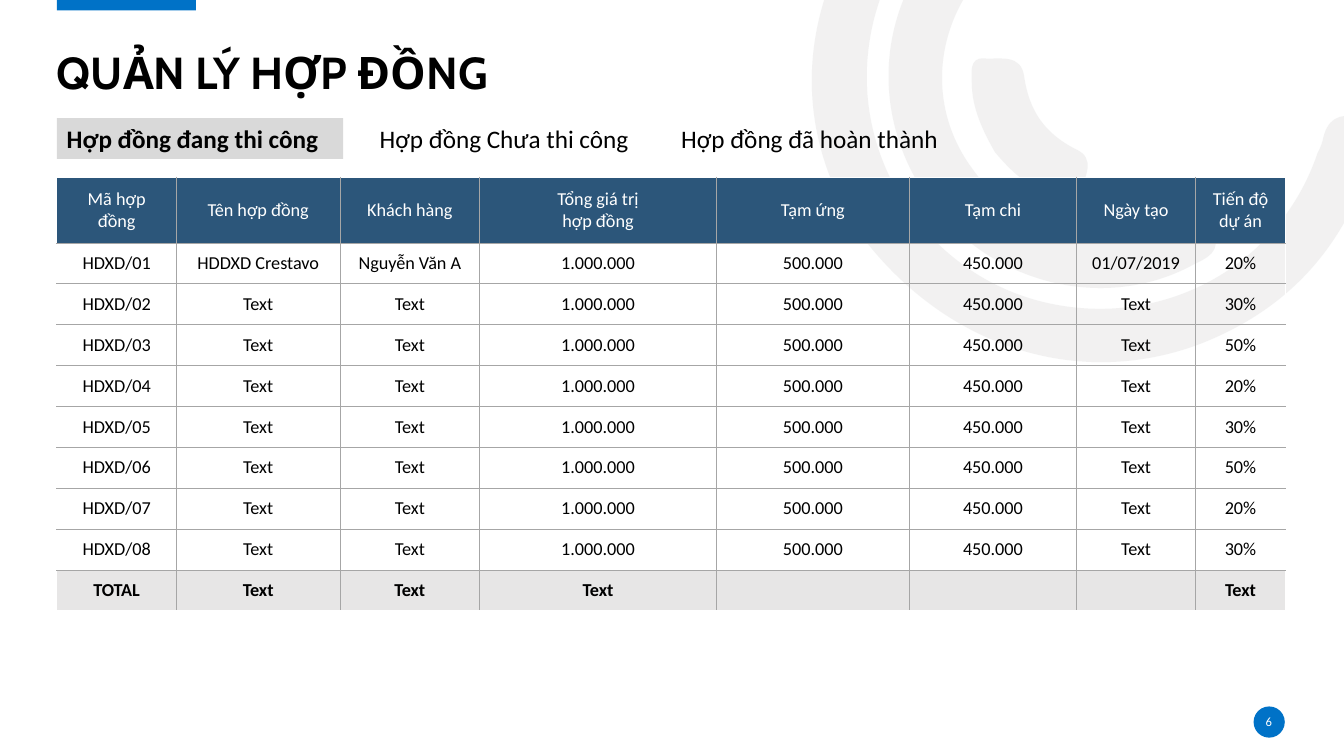
"""Build the contract management slide."""
from math import cos, radians, sin

from lxml.etree import SubElement
from pptx import Presentation
from pptx.dml.color import RGBColor
from pptx.enum.shapes import MSO_SHAPE
from pptx.enum.text import MSO_ANCHOR, MSO_AUTO_SIZE, PP_ALIGN
from pptx.oxml.ns import qn
from pptx.util import Pt

BLACK = RGBColor(0x00, 0x00, 0x00)
WHITE = RGBColor(0xFF, 0xFF, 0xFF)
BLUE = RGBColor(0x00, 0x72, 0xC7)
NAVY = RGBColor(0x2C, 0x56, 0x7A)
TAB_GRAY = RGBColor(0xD9, 0xD9, 0xD9)
PALE_GRAY = RGBColor(0xE7, 0xE6, 0xE6)
RULE_GRAY = RGBColor(0xA6, 0xA6, 0xA6)

TITLE = "QUẢN LÝ HỢP ĐỒNG"
PAGE_NUMBER = "6"
TABS = [
    ("Hợp đồng đang thi công", 40.6, True),
    ("Hợp đồng Chưa thi công", 264.2, False),
    ("Hợp đồng đã hoàn thành", 479.5, False),
]
HEADINGS = ["Mã hợp đồng", "Tên hợp đồng", "Khách hàng", "Tổng giá trị\nhợp đồng",
            "Tạm ứng", "Tạm chi", "Ngày tạo", "Tiến độ dự án"]
FIRST_DETAILS = ("HDDXD Crestavo", "Nguyễn Văn A", "01/07/2019")
BLANK_DETAILS = ("Text", "Text", "Text")
PROGRESS = ["20%", "30%", "50%", "20%", "30%", "50%", "20%", "30%"]
TOTALS = ["TOTAL", "Text", "Text", "Text", "", "", "", "Text"]
COLUMN_WIDTHS = [85.4, 116.9, 99.8, 169, 138, 119.3, 85.2, 64]
HEADER_HEIGHT, ROW_HEIGHT = 46.8, 29.2
LEFT, CONTENT_WIDTH = 40.6, 877.6

# Each arc holds its frame, a start point and cubic curves, in hundredths of an inch.
ARC_TURN = 144.2
ARCS = [
    ((813, -202, 485, 600), (851, 229), [
        (799, 149, 787, 50, 838, -50), (890, -152, 976, -203, 1090, -207),
        (1105, -207, 1121, -210, 1131, -195), (1144, -175, 1127, -154, 1098, -154),
        (967, -154, 865, -59, 860, 68), (856, 181, 936, 281, 1046, 302),
        (1160, 324, 1270, 261, 1307, 152), (1309, 148, 1311, 144, 1312, 140),
        (1316, 119, 1327, 111, 1349, 117), (1373, 124, 1367, 141, 1361, 156),
        (1334, 245, 1278, 307, 1191, 341), (1070, 387, 936, 345, 851, 229)]),
    ((901, -78, 213, 426), (922, 199), [
        (862, 115, 869, 7, 940, -68), (951, -79, 962, -95, 980, -78),
        (995, -64, 997, -50, 979, -32), (925, 26, 920, 108, 965, 168),
        (1008, 229, 1088, 249, 1161, 215), (1182, 205, 1193, 212, 1203, 229),
        (1213, 250, 1197, 256, 1183, 263), (1096, 310, 983, 282, 922, 199)]),
    ((980, 37, 78, 183), (987, 151), [
        (975, 130, 964, 107, 964, 82), (964, 73, 961, 57, 976, 58),
        (992, 59, 1013, 53, 1016, 76), (1021, 110, 1036, 132, 1067, 148),
        (1088, 157, 1076, 176, 1072, 189), (1068, 206, 1055, 198, 1045, 194),
        (1021, 187, 1003, 170, 987, 151)]),
]


def paint(shape, color):
    shape.shadow.inherit = False
    shape.fill.solid()
    shape.fill.fore_color.rgb = color
    shape.line.fill.background()


def add_arc(slide, frame, start, curves):
    left, top, width, height = frame
    cosine, sine = cos(radians(ARC_TURN)), sin(radians(ARC_TURN))

    def turn_back(x, y):
        dx, dy = x - left - width / 2, y - top - height / 2
        return (round(72 * (dx * cosine + dy * sine + width / 2)),
                round(72 * (dy * cosine - dx * sine + height / 2)))

    builder = slide.shapes.build_freeform(*turn_back(*start), scale=Pt(1) / 100)
    builder.add_line_segments([turn_back(*curve[4:]) for curve in curves], close=True)
    arc = builder.convert_to_shape()
    arc.left, arc.top, arc.width, arc.height = (Pt(0.72 * length) for length in frame)
    arc.rotation = ARC_TURN
    paint(arc, PALE_GRAY)
    tint = next(arc._element.iter(qn("a:srgbClr")))
    SubElement(tint, qn("a:alpha"), val="53000")

    outline = next(arc._element.iter(qn("a:path")))
    outline.set("w", str(72 * width))
    outline.set("h", str(72 * height))
    for child in list(outline):
        outline.remove(child)
    steps = [("a:moveTo", start)] + [("a:cubicBezTo", curve) for curve in curves]
    for tag, numbers in steps:
        step = SubElement(outline, qn(tag))
        for x, y in zip(numbers[::2], numbers[1::2]):
            px, py = turn_back(x, y)
            SubElement(step, qn("a:pt"), x=str(px), y=str(py))
    SubElement(outline, qn("a:close"))


def add_block(slide, kind, left, top, width, height, color):
    block = slide.shapes.add_shape(kind, Pt(left), Pt(top), Pt(width), Pt(height))
    paint(block, color)
    return block


def write(frame, text, size, color, bold=False, align=PP_ALIGN.LEFT, font="Calibri"):
    for index, line in enumerate(text.split("\n")):
        paragraph = frame.add_paragraph() if index else frame.paragraphs[0]
        paragraph.alignment = align
        run = paragraph.add_run()
        run.text = line
        run.font.name = font
        run.font.size = Pt(size)
        run.font.bold = bold
        run.font.color.rgb = color


def clear_margins(frame):
    frame.margin_left = frame.margin_right = frame.margin_top = frame.margin_bottom = 0


def set_borders(cell, outer_sides):
    properties = cell._tc.get_or_add_tcPr()
    for side in "LRTB":
        outer = side in outer_sides
        border = SubElement(properties, qn("a:ln" + side), w=str(Pt(1 if outer else 0.5)))
        fill = SubElement(border, qn("a:solidFill"))
        SubElement(fill, qn("a:srgbClr"), val=str(WHITE if outer else RULE_GRAY))


def add_contracts(slide):
    rows = [HEADINGS]
    for number, progress in enumerate(PROGRESS, 1):
        name, client, date = FIRST_DETAILS if number == 1 else BLANK_DETAILS
        rows.append([f"HDXD/{number:02}", name, client, "1.000.000", "500.000",
                     "450.000", date, progress])
    rows.append(TOTALS)
    last_row, last_column = len(rows) - 1, len(HEADINGS) - 1
    height = HEADER_HEIGHT + ROW_HEIGHT * last_row
    table = slide.shapes.add_table(len(rows), len(HEADINGS), Pt(LEFT), Pt(126.7),
                                   Pt(CONTENT_WIDTH), Pt(height)).table
    table.first_row = table.horz_banding = False
    for column, width in zip(table.columns, COLUMN_WIDTHS):
        column.width = Pt(width)
    for r, texts in enumerate(rows):
        table.rows[r].height = Pt(ROW_HEIGHT if r else HEADER_HEIGHT)
        for c, text in enumerate(texts):
            cell = table.cell(r, c)
            edges = {"L": c == 0, "R": c == last_column, "T": r == 0, "B": r == last_row}
            set_borders(cell, [side for side, outer in edges.items() if outer])
            if r in (0, last_row):
                cell.fill.solid()
                cell.fill.fore_color.rgb = PALE_GRAY if r else NAVY
            else:
                cell.fill.background()
            cell.vertical_anchor = MSO_ANCHOR.MIDDLE
            if text:
                write(cell.text_frame, text, 13, BLACK if r else WHITE,
                      r == last_row, PP_ALIGN.CENTER)


def add_tab(slide, text, left, active):
    place = (left, 84.4, 204.5, 29.1)
    if active:
        tab = add_block(slide, MSO_SHAPE.RECTANGLE, *place, TAB_GRAY)
    else:
        tab = slide.shapes.add_textbox(*map(Pt, place))
    frame = tab.text_frame
    frame.word_wrap = True
    frame.vertical_anchor = MSO_ANCHOR.TOP
    write(frame, text, 18, BLACK, active)


def main():
    deck = Presentation()
    deck.slide_width, deck.slide_height = Pt(960), Pt(540)
    slide = deck.slides.add_slide(deck.slide_layouts[5])
    for arc in ARCS:
        add_arc(slide, *arc)
    add_block(slide, MSO_SHAPE.RECTANGLE, LEFT, -1.2, 99.4, 8.6, BLUE)
    add_block(slide, MSO_SHAPE.OVAL, 895.4, 504.6, 22.3, 22.3, BLUE)

    title = slide.shapes.title
    title.left, title.top, title.width, title.height = map(Pt, (LEFT, 19, CONTENT_WIDTH, 51.8))
    heading = title.text_frame
    heading.auto_size = MSO_AUTO_SIZE.NONE
    heading.word_wrap = True
    heading.vertical_anchor = MSO_ANCHOR.BOTTOM
    clear_margins(heading)
    write(heading, TITLE, 32, BLACK, True, font="Cabin")
    heading.paragraphs[0].line_spacing = 0.9

    page = slide.shapes.add_textbox(Pt(894.9), Pt(508.5), Pt(23), Pt(14.4)).text_frame
    page.word_wrap = True
    page.vertical_anchor = MSO_ANCHOR.MIDDLE
    clear_margins(page)
    write(page, PAGE_NUMBER, 9, WHITE, align=PP_ALIGN.CENTER)

    add_contracts(slide)
    for text, left, active in TABS:
        add_tab(slide, text, left, active)
    deck.save("out.pptx")


if __name__ == "__main__":
    main()
